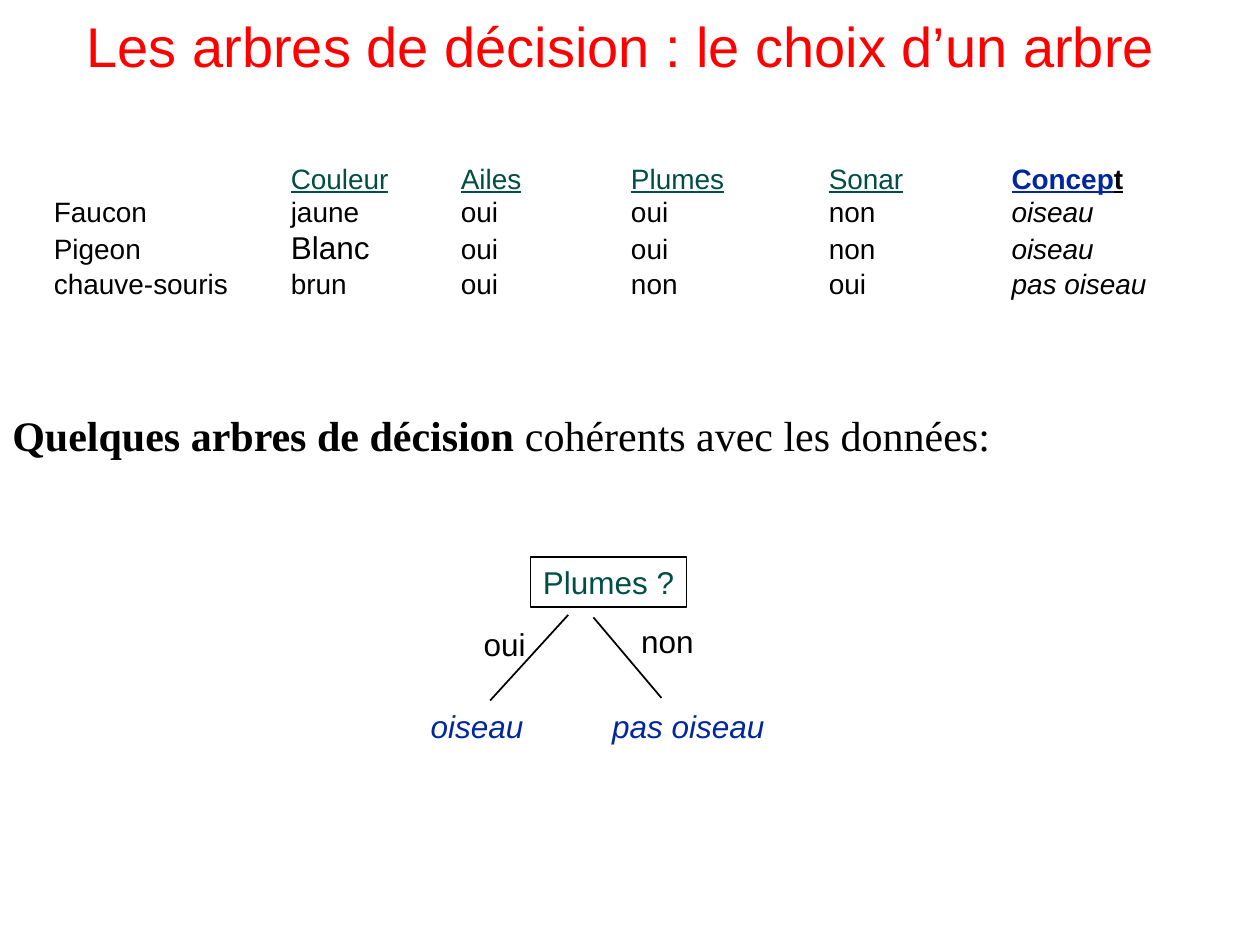
from pptx import Presentation
from pptx.dml.color import RGBColor
from pptx.enum.shapes import MSO_CONNECTOR, MSO_SHAPE
from pptx.enum.text import MSO_ANCHOR, MSO_AUTO_SIZE, PP_ALIGN
from pptx.oxml.ns import qn
from pptx.util import Inches, Pt
from lxml.etree import SubElement

BLACK = RGBColor(0x00, 0x00, 0x00)
RED = RGBColor(0xFF, 0x00, 0x00)
GREEN = RGBColor(0x00, 0x4E, 0x47)
BLUE = RGBColor(0x00, 0x27, 0x9F)

TAB_STOPS = [1.88, 3.23, 4.58, 6.15, 7.6]
ATTRIBUTES = ["Couleur", "Ailes", "Plumes", "Sonar"]
EXAMPLES = [
    ["Faucon", "jaune", "oui", "oui", "non", "oiseau"],
    ["Pigeon", "Blanc", "oui", "oui", "non", "oiseau"],
    ["chauve-souris", "brun", "oui", "non", "oui", "pas oiseau"],
]


def set_font(font, size, color=BLACK, name="Arial", **styles):
    font.name = name
    font.size = Pt(size)
    font.color.rgb = color
    for style, value in styles.items():
        setattr(font, style, value)


def add_text_box(slide, left, top, width, height):
    box = slide.shapes.add_textbox(Inches(left), Inches(top), Inches(width), Inches(height))
    box.text_frame.word_wrap = False
    box.text_frame.auto_size = MSO_AUTO_SIZE.SHAPE_TO_FIT_TEXT
    return box.text_frame


def add_run(paragraph, text, **styles):
    run = paragraph.add_run()
    run.text = text
    for style, value in styles.items():
        if style == "color":
            run.font.color.rgb = value
        else:
            setattr(run.font, style, value)


def add_label(slide, text, left, top, width, color=BLACK, italic=False):
    paragraph = add_text_box(slide, left, top, width, 0.4).paragraphs[0]
    paragraph.text = text
    set_font(paragraph.font, 18, color, italic=italic)


def add_title(slide, left, top, width, height):
    title = slide.shapes.title
    title.left, title.top = Inches(left), Inches(top)
    title.width, title.height = Inches(width), Inches(height)
    frame = title.text_frame
    frame.text = "Les arbres de décision : le choix d’un arbre"
    frame.vertical_anchor = MSO_ANCHOR.MIDDLE
    paragraph = frame.paragraphs[0]
    paragraph.alignment = PP_ALIGN.CENTER
    set_font(paragraph.font, 32, RED)


def format_row(paragraph):
    tab_list = SubElement(paragraph._p.get_or_add_pPr(), qn("a:tabLst"))
    for stop in TAB_STOPS:
        SubElement(tab_list, qn("a:tab"), pos=str(Inches(stop)), algn="l")
    set_font(paragraph.font, 16)


def add_examples(slide, left, top, width, height):
    frame = add_text_box(slide, left, top, width, height)

    # Attribute names and the concept to learn
    header = frame.paragraphs[0]
    format_row(header)
    for attribute in ATTRIBUTES:
        add_run(header, "\t")
        add_run(header, attribute, color=GREEN, underline=True)
    add_run(header, "\t")
    add_run(header, "Concep", color=BLUE, underline=True, bold=True)
    add_run(header, "t", underline=True, bold=True)

    # One line per animal, its class in italics
    for *values, concept in EXAMPLES:
        row = frame.add_paragraph()
        format_row(row)
        for value in values:
            add_run(row, value, size=Pt(18 if value == "Blanc" else 16))
            add_run(row, "\t")
        add_run(row, concept, italic=True)


def add_subtitle(slide, left, top, width, height):
    paragraph = add_text_box(slide, left, top, width, height).paragraphs[0]
    set_font(paragraph.font, 24, name="Times New Roman")
    add_run(paragraph, "Quelques arbres de décision ", bold=True)
    add_run(paragraph, "cohérents avec les données:")


def add_branch(slide, start_x, start_y, end_x, end_y):
    branch = slide.shapes.add_connector(
        MSO_CONNECTOR.STRAIGHT, Inches(start_x), Inches(start_y), Inches(end_x), Inches(end_y))
    branch.line.color.rgb = BLACK
    branch.line.width = Pt(1)
    SubElement(branch._element.spPr, qn("a:effectLst"))


def add_decision_tree(slide, left, top):
    # Root test
    root = slide.shapes.add_shape(
        MSO_SHAPE.RECTANGLE, Inches(left + 0.89), Inches(top), Inches(1.24), Inches(0.4))
    root.shadow.inherit = False
    root.fill.background()
    root.line.color.rgb = BLACK
    root.line.width = Pt(1)
    root.text_frame.word_wrap = False
    root.text_frame.text = "Plumes ?"
    paragraph = root.text_frame.paragraphs[0]
    paragraph.alignment = PP_ALIGN.LEFT
    set_font(paragraph.font, 18, GREEN)

    # Branches and their answers
    add_branch(slide, left + 1.19, top + 0.46, left + 0.57, top + 1.14)
    add_branch(slide, left + 1.39, top + 0.48, left + 1.93, top + 1.12)
    add_label(slide, "oui", left + 0.42, top + 0.49, 0.55)
    add_label(slide, "non", left + 1.67, top + 0.47, 0.63)

    # Leaves
    add_label(slide, "oiseau", left, top + 1.14, 0.95, BLUE, italic=True)
    add_label(slide, "pas oiseau", left + 1.44, top + 1.14, 1.42, BLUE, italic=True)


def main():
    presentation = Presentation()
    presentation.slide_width = Inches(10)
    presentation.slide_height = Inches(7.5)
    slide = presentation.slides.add_slide(presentation.slide_layouts[5])
    add_title(slide, 0.43, -0.27, 9, 1.25)
    add_examples(slide, 0.33, 1.23, 8.87, 1.46)
    add_subtitle(slide, 0, 3.2, 7.97, 0.5)
    add_decision_tree(slide, 3.32, 4.42)
    presentation.save("out.pptx")


if __name__ == "__main__":
    main()
